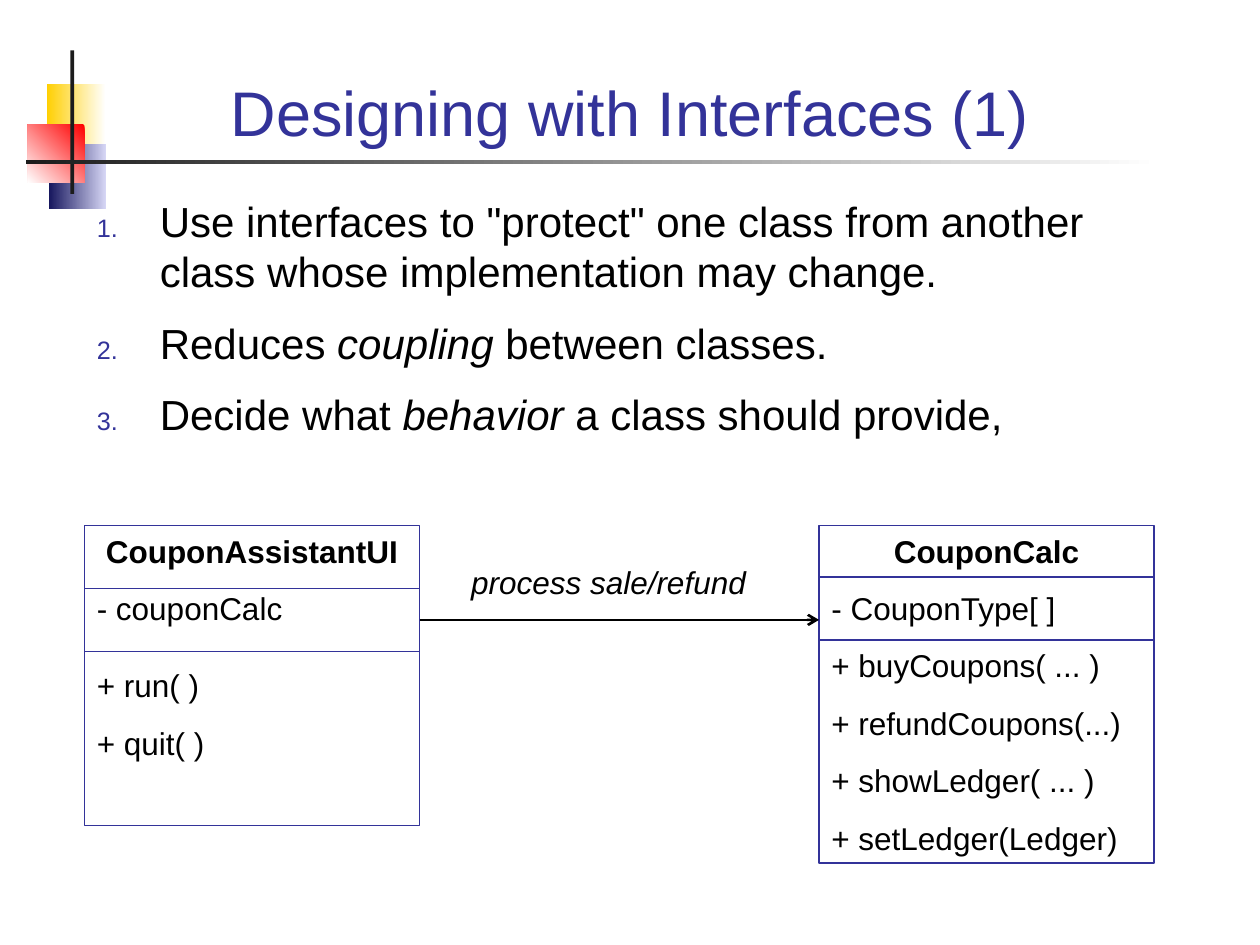
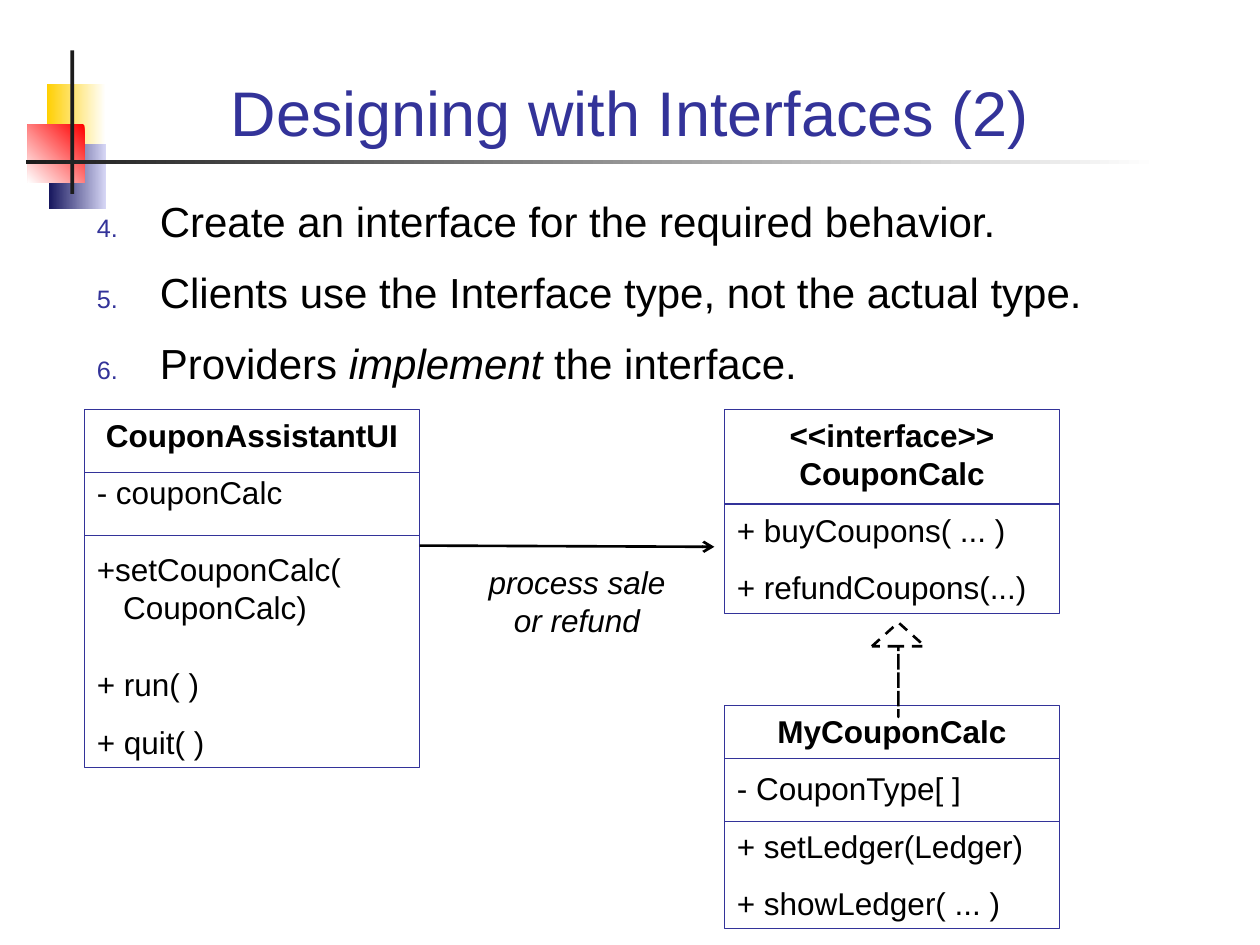
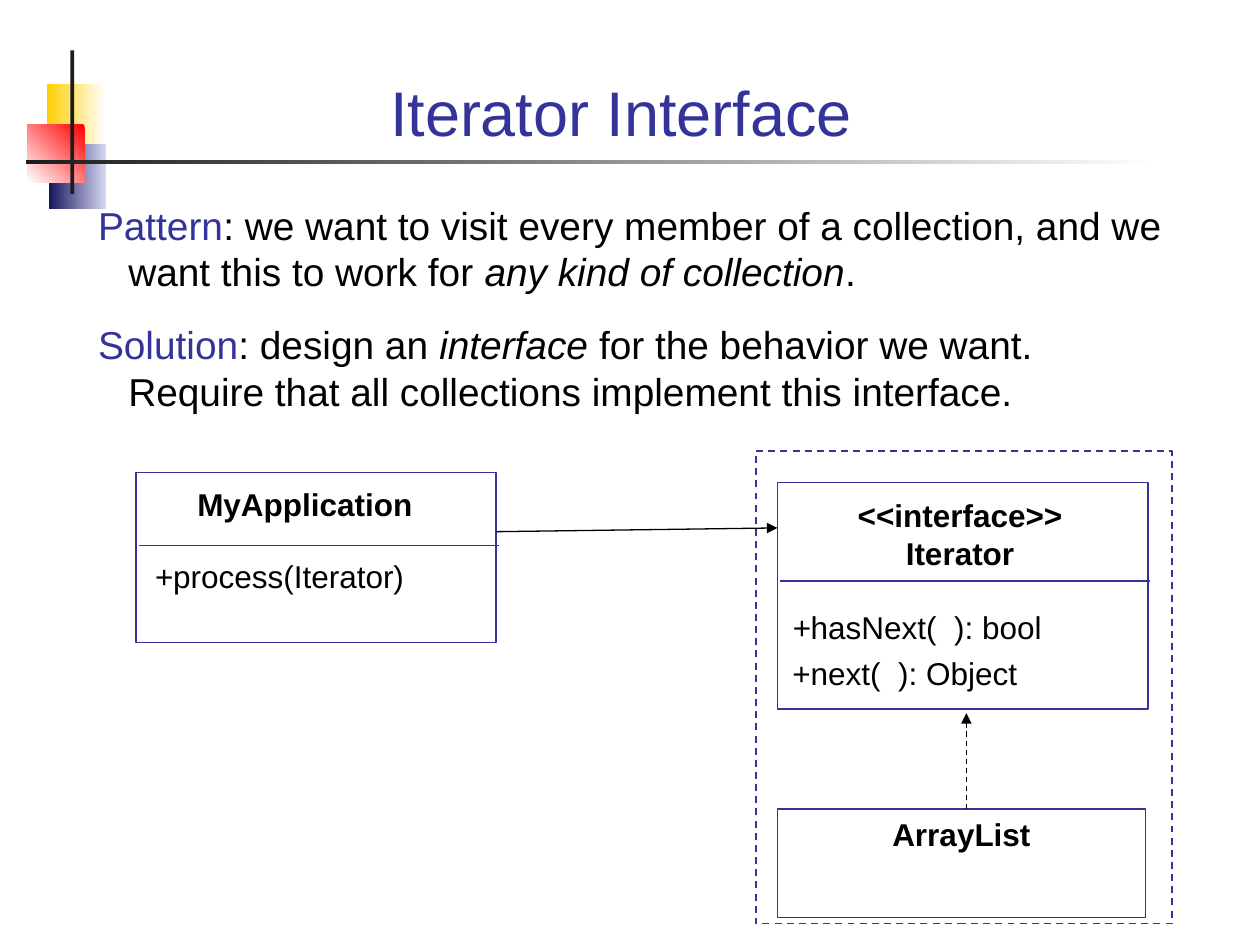
"""Build three slides on designing with interfaces, with UML class diagrams."""
import lxml.etree
import pptx
import pptx.dml.color
import pptx.enum.dml
import pptx.enum.shapes
import pptx.enum.text
import pptx.oxml.ns
import pptx.util

Inches = pptx.util.Inches
Pt = pptx.util.Pt
color = pptx.dml.color.RGBColor.from_string
qn = pptx.oxml.ns.qn
SHAPES = pptx.enum.shapes.MSO_SHAPE
DASH = pptx.enum.dml.MSO_LINE.DASH
CENTER = pptx.enum.text.PP_ALIGN.CENTER
BOTTOM = pptx.enum.text.MSO_ANCHOR.BOTTOM
TOP = pptx.enum.text.MSO_ANCHOR.TOP

ACCENT = "333399"
BLACK = "000000"
DARK = "1C1C1C"
WHITE = "FFFFFF"
HEADER = {"bold": True, "align": CENTER}
HEADER_NEXT = {**HEADER, "before": 0}
CLASS_WIDTH = 2.66


def add_text(slide, position, paragraphs, anchor=TOP, outline=None, **defaults):
    """Add a text box; * toggles italics, | ends an accent label."""
    left, top, width, height = map(Inches, position)
    if outline:
        shape = slide.shapes.add_shape(SHAPES.RECTANGLE, left, top, width, height)
        shape.shadow.inherit = False
        shape.fill.background()
        shape.line.color.rgb = color(ACCENT)
        shape.line.width = Pt(outline)
    else:
        shape = slide.shapes.add_textbox(left, top, width, height)
    frame = shape.text_frame
    frame.word_wrap = True
    frame.vertical_anchor = anchor
    for index, (text, overrides) in enumerate(paragraphs):
        style = {**defaults, **overrides}
        paragraph = frame.paragraphs[0] if index == 0 else frame.add_paragraph()
        paragraph.alignment = style.get("align", pptx.enum.text.PP_ALIGN.LEFT)
        paragraph.space_before = Pt(style.get("before", 11.2) if index else 0)
        properties = paragraph._p.get_or_add_pPr()
        properties.set("marL", str(Inches(style.get("left", 0))))
        properties.set("indent", str(Inches(style.get("indent", 0))))
        if "start" in style:
            bullet_color = lxml.etree.SubElement(properties, qn("a:buClr"))
            lxml.etree.SubElement(bullet_color, qn("a:srgbClr"), val=ACCENT)
            lxml.etree.SubElement(properties, qn("a:buSzPct"), val="60000")
            lxml.etree.SubElement(properties, qn("a:buAutoNum"), type="arabicPeriod",
                                  startAt=str(style["start"]))
        label, bar, body = text.rpartition("|")
        pieces = [(label, ACCENT, False)]
        pieces += [(piece, style.get("fill", BLACK), number % 2 == 1)
                   for number, piece in enumerate(body.split("*"))]
        for piece, fill, italic in pieces:
            if piece:
                run = paragraph.add_run()
                run.text = piece
                run.font.name = "Arial"
                run.font.size = Pt(style.get("size", 18))
                run.font.bold = style.get("bold", False)
                run.font.italic = italic
                run.font.color.rgb = color(fill)
    return shape


def add_line(slide, ends, fill=ACCENT, width=0.75, head=None, dash=None):
    """Add a straight line with an optional arrowhead at its end."""
    line = slide.shapes.add_connector(pptx.enum.shapes.MSO_CONNECTOR.STRAIGHT, *map(Inches, ends))
    line.line.color.rgb = color(fill)
    line.line.width = Pt(width)
    if dash:
        line.line.dash_style = dash
    if head:
        lxml.etree.SubElement(line.line._get_or_add_ln(), qn("a:tailEnd"), type=head)
    lxml.etree.SubElement(line._element.spPr, qn("a:effectLst"))


presentation = pptx.Presentation()
presentation.slide_width = Inches(10)
presentation.slide_height = Inches(7.5)

decorations = [
    ((0.37, 0.67, 0.47, 0.52), WHITE, "FFCF01", 180),
    ((0.39, 1.14, 0.45, 0.52), "D6D6F5", "17175E", 180),
    ((0.22, 0.99, 0.45, 0.46), "FF0000", WHITE, 225),
    ((0.56, 0.4, 0.03, 1.14), DARK, DARK, 180),
    ((0.21, 1.27, 8.99, 0.03), WHITE, DARK, 180),
]
titles = ["Designing with Interfaces (1)", "Designing with Interfaces (2)", "Iterator Interface "]
slides = []
for title in titles:
    slide = presentation.slides.add_slide(presentation.slide_layouts[6])
    slides.append(slide)
    for position, first, last, angle in decorations:
        shape = slide.shapes.add_shape(SHAPES.RECTANGLE, *map(Inches, position))
        shape.shadow.inherit = False
        shape.line.fill.background()
        if first == last:
            shape.fill.solid()
            shape.fill.fore_color.rgb = color(first)
        else:
            shape.fill.gradient()
            shape.fill.gradient_angle = angle
            for stop, stop_color in zip(shape.fill.gradient_stops, (first, last)):
                stop.color.rgb = color(stop_color)
    add_text(slide, (0.67, 0.28, 8.66, 0.95), [(title, {})], anchor=BOTTOM,
             size=36, fill=ACCENT, align=CENTER)
coupling_slide, interface_slide, iterator_slide = slides

numbered_lists = [
    (coupling_slide, 2.25, 1, [
        'Use interfaces to "protect" one class from another class whose implementation may change.',
        "Reduces *coupling* between classes.",
        "Decide what *behavior* a class should provide,"]),
    (interface_slide, 1.75, 4, [
        "Create an interface for the required behavior.",
        "Clients use the Interface type, not the actual type.",
        "Providers *implement* the interface."]),
]
for slide, height, start, items in numbered_lists:
    add_text(slide, (0.67, 1.5, 8.66, height), [(item, {}) for item in items],
             size=24, before=12, left=0.5, indent=-0.5, start=start)

classes = [
    (coupling_slide, 0.67, 4.17, 2.38, [4.67, 5.17], [
        ("CouponAssistantUI", HEADER), ("- couponCalc", {}),
        ("+ run( )", {"before": 22.5}), ("+ quit( )", {})]),
    (coupling_slide, 6.5, 4.17, 2.68, [4.58, 5.08], [
        ("CouponCalc", HEADER), ("- CouponType[ ]", {}), ("+ buyCoupons( ... )", {}),
        ("+ refundCoupons(...)", {}), ("+ showLedger( ... )", {}), ("+ setLedger(Ledger)", {})]),
    (interface_slide, 0.67, 3.25, 2.84, [3.75, 4.25], [
        ("CouponAssistantUI", HEADER), ("- couponCalc", {}),
        ("+setCouponCalc(", {"before": 22.5}), ("CouponCalc)", {"before": 0, "left": 0.21}),
        ("+ run( )", {"before": 22.5}), ("+ quit( )", {})]),
    (interface_slide, 5.75, 5.6, 1.77, [6.02, 6.52], [
        ("MyCouponCalc", HEADER), ("- CouponType[ ]", {}),
        ("+ setLedger(Ledger)", {}), ("+ showLedger( ... )", {})]),
    (interface_slide, 5.75, 3.25, 1.62, [4], [
        ("<<interface>>", HEADER), ("CouponCalc", HEADER_NEXT),
        ("+ buyCoupons( ... )", {}), ("+ refundCoupons(...)", {})]),
]
for slide, left, top, height, dividers, members in classes:
    add_text(slide, (left, top, CLASS_WIDTH, height), members, outline=0.75)
    for divider in dividers:
        add_line(slide, (left, divider, left + CLASS_WIDTH, divider))

add_line(coupling_slide, (3.33, 4.92, 6.5, 4.92), BLACK, 1.5, "arrow")
add_text(coupling_slide, (3.58, 4.42, 2.5, 0.4), [("*process sale/refund*", {})], align=CENTER)

add_line(interface_slide, (3.33, 4.33, 5.67, 4.34), BLACK, 1.5, "arrow")
add_text(interface_slide, (3.33, 4.42, 2.5, 0.7),
         [("*process sale*", {}), ("*or refund*", {})], align=CENTER, before=0)
implements_arrow = interface_slide.shapes.add_shape(
    SHAPES.UP_ARROW, Inches(6.92), Inches(4.94), Inches(0.42), Inches(0.75))
implements_arrow.adjustments[0] = 0
implements_arrow.adjustments[1] = 0.45
implements_arrow.shadow.inherit = False
implements_arrow.fill.background()
implements_arrow.line.color.rgb = color(BLACK)
implements_arrow.line.width = Pt(1.5)
implements_arrow.line.dash_style = DASH

add_text(iterator_slide, (0.67, 1.55, 8.66, 1.85), [
    ("Pattern|: we want to visit every member of a collection, and we want this to work for "
     "*any kind of collection*.", {}),
    ("Solution|: design an *interface* for the behavior we want. "
     "Require that all collections implement this interface.", {"before": 15}),
], size=22.2, left=0.25, indent=-0.24)

add_text(iterator_slide, (1.08, 3.75, 2.86, 1.35), [], outline=1)
add_text(iterator_slide, (6.17, 3.83, 2.94, 1.8), [], outline=1)
package_box = add_text(iterator_slide, (6, 3.58, 3.3, 3.75), [], outline=1)
package_box.line.dash_style = DASH
add_text(iterator_slide, (6.17, 6.42, 2.92, 0.86), [("ArrayList", HEADER)], outline=0.75)

iterator_labels = [
    ((1.32, 3.8, 2.2, 0.4), [("MyApplication", HEADER)]),
    ((1.13, 4.37, 2.5, 0.4), [("*+*process(Iterator)", {})]),
    ((6.52, 3.89, 2.2, 0.7), [("<<interface>>", HEADER), ("Iterator", HEADER_NEXT)]),
    ((6.19, 4.78, 2.5, 0.77), [("*+*hasNext(  ): bool", {}), ("+next(  ): Object", {"before": 4.5})]),
]
for position, paragraphs in iterator_labels:
    add_text(iterator_slide, position, paragraphs)

for left, right, top in [(1.1, 3.96, 4.33), (6.19, 9.13, 4.61)]:
    add_line(iterator_slide, (left, top, right, top), width=1)
add_line(iterator_slide, (3.94, 4.22, 6.17, 4.19), BLACK, head="triangle")
add_line(iterator_slide, (7.67, 6.42, 7.67, 5.66), BLACK, head="triangle", dash=DASH)

presentation.save("out.pptx")
